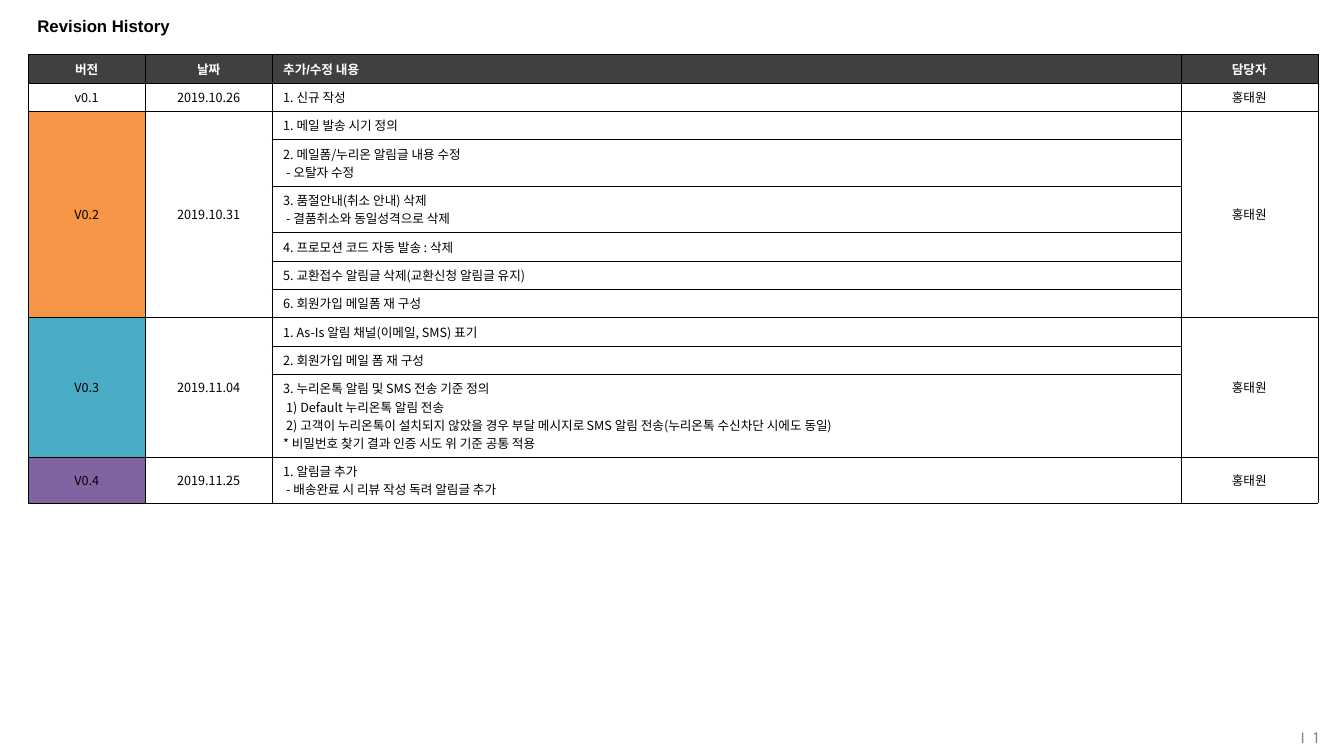
from lxml.etree import SubElement
from pptx import Presentation
from pptx.dml.color import RGBColor
from pptx.enum.text import MSO_ANCHOR, PP_ALIGN
from pptx.oxml.ns import qn
from pptx.util import Inches, Pt

COLORS = {"ink": "000000", "paper": "FFFFFF", "header": "404040", "muted": "808080",
          "orange": "F79646", "teal": "4BACC6", "purple": "8064A2"}
KOREAN = "Noto Sans CJK KR"
LEFT, CENTER, RIGHT = PP_ALIGN.LEFT, PP_ALIGN.CENTER, PP_ALIGN.RIGHT

HEADER = ["버전", "날짜", "추가/수정 내용", "담당자"]
# Version, fill, date, changes (lines of each row), owner
REVISIONS = [
    ("v0.1", None, "2019.10.26", [["1. 신규 작성"]], "홍태원"),
    ("V0.2", "orange", "2019.10.31", [
        ["1. 메일 발송 시기 정의"],
        ["2. 메일폼/누리온 알림글 내용 수정", "- 오탈자 수정"],
        ["3. 품절안내(취소 안내) 삭제", "- 결품취소와 동일성격으로 삭제"],
        ["4. 프로모션 코드 자동 발송 : 삭제"],
        ["5. 교환접수 알림글 삭제(교환신청 알림글 유지)"],
        ["6. 회원가입 메일폼 재 구성"]], "홍태원"),
    ("V0.3", "teal", "2019.11.04", [
        ["1. As-Is 알림 채널(이메일, SMS) 표기"],
        ["2. 회원가입 메일 폼 재 구성"],
        ["3. 누리온톡 알림 및 SMS 전송 기준 정의",
         "1) Default 누리온톡 알림 전송",
         "2) 고객이 누리온톡이 설치되지 않았을 경우 부달 메시지로 SMS 알림 전송"
         "(누리온톡 수신차단 시에도 동일)",
         "* 비밀번호 찾기 결과 인증 시도 위 기준 공통 적용"]], "홍태원"),
    ("V0.4", "purple", "2019.11.25", [
        ["1. 알림글 추가", "- 배송완료 시 리뷰 작성 독려 알림글 추가"]], "홍태원"),
]


def write(p, text, size=9, font=KOREAN, color="ink", bold=False, align=LEFT,
          indent=0, spacing=0):
    """Add one formatted run to a paragraph."""
    p.alignment = align
    if indent:
        p._p.get_or_add_pPr().set("marL", str(Inches(indent)))
    r = p.add_run()
    r.text = text
    r.font.size, r.font.bold = Pt(size), bold
    r.font.color.rgb = RGBColor.from_string(COLORS[color])
    r.font.name = font
    rPr = r._r.get_or_add_rPr()
    SubElement(rPr, qn("a:ea"), typeface=KOREAN)
    if spacing:
        rPr.set("spc", str(spacing))


class Deck:
    """Slide builder; lengths are percentages of the slide's size."""

    def __init__(self):
        self.prs = Presentation()
        self.prs.slide_width, self.prs.slide_height = Inches(13.33), Inches(7.5)
        self.s = self.prs.slides.add_slide(self.prs.slide_layouts[5])

    def x(self, share):
        return round(self.prs.slide_width * share / 100)

    def y(self, share):
        return round(self.prs.slide_height * share / 100)

    def box(self, left, top, width, height):
        return self.x(left), self.y(top), self.x(width), self.y(height)

    def title(self, text, *place):
        sp = self.s.shapes.title
        sp.left, sp.top, sp.width, sp.height = self.box(*place)
        tf = sp.text_frame
        tf.vertical_anchor = MSO_ANCHOR.MIDDLE
        write(tf.paragraphs[0], text, size=12, font="Arial", bold=True)

    def page_number(self, number, *place):
        tf = self.s.shapes.add_textbox(*self.box(*place)).text_frame
        tf.word_wrap, tf.vertical_anchor = True, MSO_ANCHOR.MIDDLE
        tf.margin_left = tf.margin_right = tf.margin_top = tf.margin_bottom = 0
        style = dict(size=12, font="Karla", color="muted", align=RIGHT)
        write(tf.paragraphs[0], "I ", spacing=150, **style)
        write(tf.paragraphs[0], number, **style)

    def table(self, left, top, widths, line_counts, line=2.4, padding=1.35):
        heights = [padding + line * n for n in line_counts]
        place = self.box(left, top, sum(widths), sum(heights))
        table = self.s.shapes.add_table(len(heights), len(widths), *place).table
        table.horz_banding = False
        for column, width in zip(table.columns, widths):
            column.width = self.x(width)
        for row, height in zip(table.rows, heights):
            row.height = self.y(height)
        for cell in table.iter_cells():
            self.borders(cell)
            cell.fill.background()
        return table

    def borders(self, cell):
        tcPr = cell._tc.get_or_add_tcPr()
        for side in ("lnL", "lnR", "lnT", "lnB"):
            ln = SubElement(tcPr, qn(f"a:{side}"), w=str(Pt(0.25)))
            fill = SubElement(ln, qn("a:solidFill"))
            SubElement(fill, qn("a:srgbClr"), val=COLORS["ink"])

    def cell(self, cell, lines, fill=None, **style):
        cell.vertical_anchor = MSO_ANCHOR.MIDDLE
        cell.margin_left = cell.margin_right = Inches(0.11)
        cell.margin_top = cell.margin_bottom = Inches(0.05)
        if fill:
            cell.fill.solid()
            cell.fill.fore_color.rgb = RGBColor.from_string(COLORS[fill])
        tf = cell.text_frame
        for i, text in enumerate(lines):
            p = tf.add_paragraph() if i else tf.paragraphs[0]
            # Sub-items sit slightly inside the numbered line
            indent = 0.03 if i and not text.startswith("*") else 0
            write(p, text, indent=indent, **style)


def main():
    deck = Deck()
    deck.title("Revision History", 2.03, 0.93, 95.95, 5.07)
    deck.page_number("1", 83.65, 94.8, 14.48, 5.2)

    # Table grid: row heights follow the number of text lines
    line_counts = [1] + [len(lines) for rev in REVISIONS for lines in rev[3]]
    table = deck.table(2.1, 7.2, [8.7, 9.45, 67.6, 10.2], line_counts)

    # Header
    for c, text in enumerate(HEADER):
        deck.cell(table.cell(0, c), [text], fill="header", font="Arial", color="paper",
                  bold=True, align=LEFT if c == 2 else CENTER)

    # Revisions: version, date and owner span all rows of their changes
    top = 1
    for version, fill, date, changes, owner in REVISIONS:
        bottom = top + len(changes) - 1
        for c, text in ((0, version), (1, date), (3, owner)):
            if bottom > top:
                table.cell(top, c).merge(table.cell(bottom, c))
            deck.cell(table.cell(top, c), [text], fill=fill if c == 0 else None,
                      align=CENTER)
        for r, lines in enumerate(changes, top):
            deck.cell(table.cell(r, 2), lines)
        top = bottom + 1

    deck.prs.save("out.pptx")


if __name__ == "__main__":
    main()
